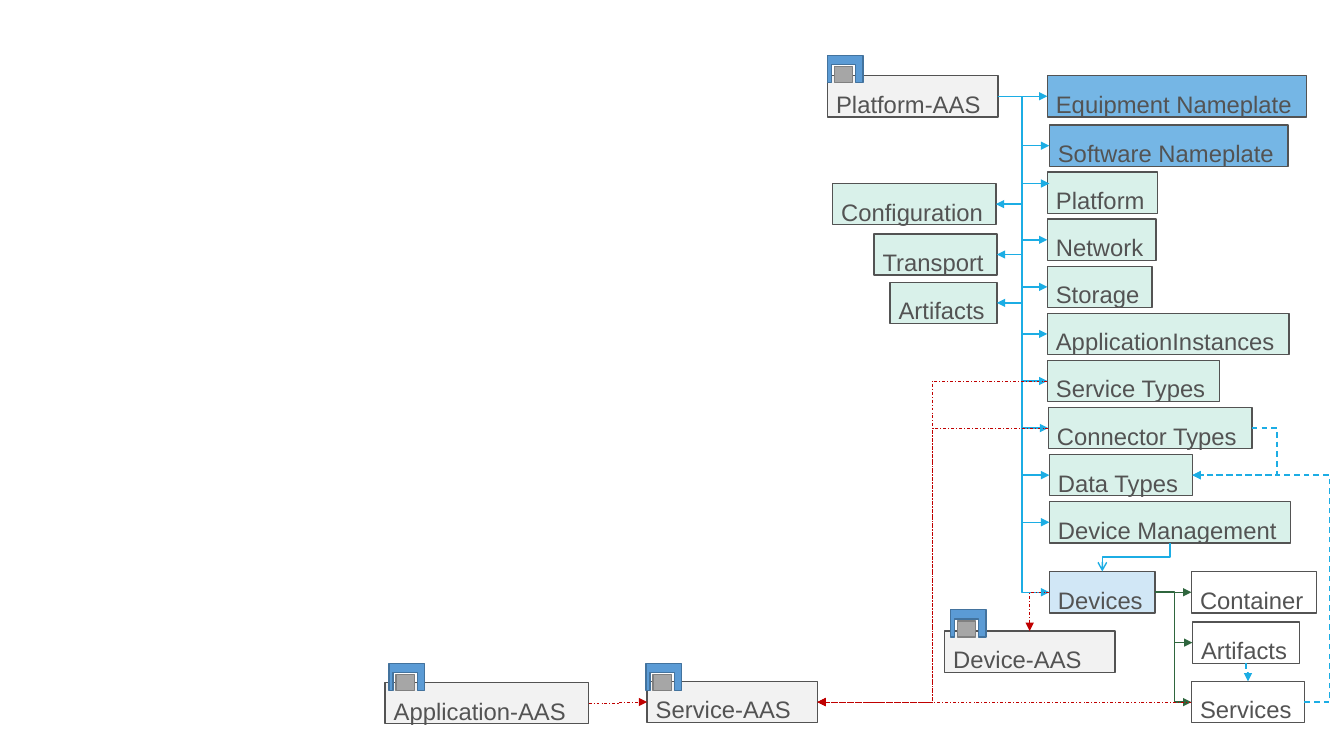
"""Build the slide that maps asset administration shells to their submodels."""
from dataclasses import dataclass
from typing import Optional

from lxml.etree import SubElement
from pptx import Presentation
from pptx.dml.color import RGBColor
from pptx.enum.dml import MSO_LINE_DASH_STYLE as Dash
from pptx.enum.shapes import MSO_CONNECTOR as Link, MSO_SHAPE as Shape
from pptx.enum.text import MSO_ANCHOR as Anchor, MSO_AUTO_SIZE as AutoSize, PP_ALIGN as Align
from pptx.oxml.ns import qn
from pptx.util import Inches, Pt

COLUMNS, ROWS = 133.33, 75
COLORS = {
    "ink": "535353", "shell": "F2F2F2", "nameplate": "75B6E5", "submodel": "D9F1EA",
    "device": "D1E7F6", "blue": "1CADE4", "green": "2F663E", "red": "C00000",
    "frame": "5B9BD5", "frame edge": "43739E", "core": "A6A6A6", "core edge": "808080",
}
TOP, LEFT, BOTTOM, RIGHT = range(4)
BOX_ROWS = 4.1
TRUNK = 101.4
FIRST_ROW, ROW_STEP = 12.4, 4.67


@dataclass(frozen=True)
class Box:
    """A labelled box placed on the grid."""
    key: str
    column: float
    row: float
    columns: float
    fill: Optional[str] = None
    label: str = ""
    wraps: bool = False


@dataclass(frozen=True)
class Arrow:
    """An elbow arrow between two box sides, turning at a grid column."""
    source: str
    source_side: int
    target: str
    target_side: int
    color: str
    turn: Optional[float] = None
    dash: Optional[Dash] = None
    width: float = 1
    head: str = "triangle"
    corner: bool = False


STACK = [
    Box(label, column, FIRST_ROW + index * ROW_STEP, columns, fill)
    for index, (label, column, columns, fill) in enumerate([
        ("Software Nameplate", 104.1, 23.7, "nameplate"),
        ("Platform", 103.9, 10.9, "submodel"),
        ("Network", 103.9, 10.8, "submodel"),
        ("Storage", 103.9, 10.4, "submodel"),
        ("ApplicationInstances", 103.9, 24, "submodel"),
        ("Service Types", 103.9, 17.1, "submodel"),
        ("Connector Types", 104, 20.2, "submodel"),
        ("Data Types", 104.1, 14.2, "submodel"),
        ("Device Management", 104.1, 23.9, "submodel"),
    ])
]
BOXES = [
    Box("Equipment Nameplate", 103.9, 7.5, 25.7, "nameplate"),
    *STACK,
    Box("Configuration", 82.6, 18.2, 16.2, "submodel"),
    Box("Transport", 86.7, 23.2, 12.2, "submodel"),
    Box("Platform Artifacts", 88.3, 28, 10.6, "submodel", "Artifacts"),
    Box("Devices", 104.1, 56.7, 10.5, "device"),
    Box("Container", 118.2, 56.7, 12.4, wraps=True),
    Box("Device Artifacts", 118.3, 61.7, 10.6, label="Artifacts"),
    Box("Services", 118.2, 67.6, 11.2),
    Box("Platform-AAS", 82.1, 7.5, 16.9, "shell", wraps=True),
    Box("Device-AAS", 93.7, 62.6, 16.9, "shell", wraps=True),
    Box("Service-AAS", 64.2, 67.6, 16.9, "shell", wraps=True),
    Box("Application-AAS", 38.2, 67.7, 20.2, "shell", wraps=True),
]
RIGHT_TARGETS = ["Equipment Nameplate", *(box.key for box in STACK if box.key != "Platform"), "Devices"]
LEFT_TARGETS = ["Configuration", "Transport", "Platform Artifacts"]
PLATFORM_TIP = (104.1, 18.2)
ARROWS = [
    *(Arrow("Platform-AAS", RIGHT, key, LEFT, "blue", TRUNK) for key in [*RIGHT_TARGETS, "Platform"]),
    *(Arrow("Platform-AAS", RIGHT, key, RIGHT, "blue", TRUNK) for key in LEFT_TARGETS),
    *(Arrow("Devices", RIGHT, key, LEFT, "green", 116.5)
      for key in ["Container", "Device Artifacts", "Services"]),
    Arrow("Device Artifacts", BOTTOM, "Services", TOP, "blue", dash=Dash.DASH),
    Arrow("Device Management", BOTTOM, "Devices", TOP, "blue", head="arrow"),
    Arrow("Services", RIGHT, "Data Types", RIGHT, "blue", 131.9, Dash.DASH),
    Arrow("Connector Types", RIGHT, "Data Types", RIGHT, "blue", 126.7, Dash.DASH),
    *(Arrow(key, LEFT, "Service-AAS", RIGHT, "red", turn, Dash.DASH_DOT, 0.5)
      for key, turn in [("Service Types", 92.5), ("Connector Types", 92.5), ("Services", 99.6)]),
    Arrow("Devices", LEFT, "Device-AAS", TOP, "red", dash=Dash.DASH_DOT, width=0.5, corner=True),
    Arrow("Application-AAS", RIGHT, "Service-AAS", LEFT, "red", 61.3, Dash.DASH_DOT, 0.5),
]
EMBLEMS = [(82.1, 5.5), (94.3, 60.5), (38.6, 65.8), (64.1, 65.8)]
EMBLEM_OUTLINE = [(0, 0), (0, 2.7), (0.4, 2.7), (0.4, 0.9), (2.8, 0.9), (2.8, 2.7), (3.5, 2.7), (3.5, 0)]


def cells(count: float) -> int:
    """Turn a number of grid cells into a length."""
    return Inches(count / 10)


def paint(shape, fill: Optional[str], edge: str) -> None:
    """Give a shape its fill and outline, without a shadow."""
    shape.shadow.inherit = False
    if fill:
        shape.fill.solid()
        shape.fill.fore_color.rgb = RGBColor.from_string(COLORS[fill])
    else:
        shape.fill.background()
    shape.line.color.rgb = RGBColor.from_string(COLORS[edge])
    shape.line.width = Pt(1)


def draw_box(page, box: Box):
    """Draw a labelled box and return its shape."""
    shape = page.shapes.add_shape(
        Shape.RECTANGLE, cells(box.column), cells(box.row), cells(box.columns), cells(BOX_ROWS))
    paint(shape, box.fill, "ink")
    frame = shape.text_frame
    frame.text = box.label or box.key
    frame.word_wrap = box.wraps
    frame.auto_size = AutoSize.SHAPE_TO_FIT_TEXT
    frame.vertical_anchor = Anchor.TOP
    frame.margin_left, frame.margin_right = cells(0.85), cells(1.2)
    frame.margin_top, frame.margin_bottom = cells(0.8), 0
    para = frame.paragraphs[0]
    para.alignment = Align.LEFT
    para.line_spacing = 1.2
    span = para.runs[0]
    span.font.name = "Arial"
    span.font.size = Pt(17)
    span.font.color.rgb = RGBColor.from_string(COLORS["ink"])
    return shape


def stand_upright(connector) -> None:
    """Turn an elbow so that it leaves its source downwards."""
    start, end = connector.begin_x, connector.end_x
    middle_x = (start + end) // 2
    middle_y = (connector.begin_y + connector.end_y) // 2
    width, height = abs(connector.end_y - connector.begin_y), abs(end - start)
    connector.left, connector.top = middle_x - width // 2, middle_y - height // 2
    connector.width, connector.height = width, height
    frame = connector._element.spPr.find(qn("a:xfrm"))
    rightward = end > start
    frame.set("rot", "16200000" if rightward else "5400000")
    frame.set("flipH", "1" if rightward else "0")
    frame.set("flipV", "0")


def draw_arrow(page, arrow: Arrow, shapes: dict) -> None:
    """Draw an elbow arrow joined to its boxes."""
    connector = page.shapes.add_connector(Link.ELBOW, 0, 0, *map(cells, PLATFORM_TIP))
    connector.begin_connect(shapes[arrow.source], arrow.source_side)
    if arrow.target == "Platform":
        connector.end_x, connector.end_y = map(cells, PLATFORM_TIP)
    else:
        connector.end_connect(shapes[arrow.target], arrow.target_side)
    properties = connector._element.spPr
    geometry = properties.find(qn("a:prstGeom"))
    if arrow.corner:
        geometry.set("prst", "bentConnector2")
    elif arrow.turn is not None:
        share = (cells(arrow.turn) - connector.begin_x) / (connector.end_x - connector.begin_x)
        SubElement(geometry.find(qn("a:avLst")), qn("a:gd"), name="adj1", fmla=f"val {round(share * 100000)}")
    else:
        stand_upright(connector)
    connector.line.color.rgb = RGBColor.from_string(COLORS[arrow.color])
    connector.line.width = Pt(arrow.width)
    if arrow.dash:
        connector.line.dash_style = arrow.dash
    SubElement(properties.find(qn("a:ln")), qn("a:tailEnd"), type=arrow.head)
    SubElement(properties, qn("a:effectLst"))


def draw_emblem(page, column: float, row: float) -> None:
    """Draw the grouped emblem that marks a shell."""
    group = page.shapes.add_group_shape()
    core = group.shapes.add_shape(
        Shape.RECTANGLE, cells(column + 0.7), cells(row + 1.1), cells(1.8), cells(1.6))
    paint(core, "core", "core edge")
    points = [(cells(column + x), cells(row + y)) for x, y in EMBLEM_OUTLINE]
    builder = group.shapes.build_freeform(*points[0])
    builder.add_line_segments(points[1:], close=True)
    paint(builder.convert_to_shape(), "frame", "frame edge")


def main() -> None:
    """Build the deck and save it."""
    deck = Presentation()
    deck.slide_width, deck.slide_height = cells(COLUMNS), cells(ROWS)
    page = deck.slides.add_slide(deck.slide_layouts[6])
    shapes = {box.key: draw_box(page, box) for box in BOXES}
    for arrow in ARROWS:
        draw_arrow(page, arrow, shapes)
    for column, row in EMBLEMS:
        draw_emblem(page, column, row)
    deck.save("out.pptx")


if __name__ == "__main__":
    main()
